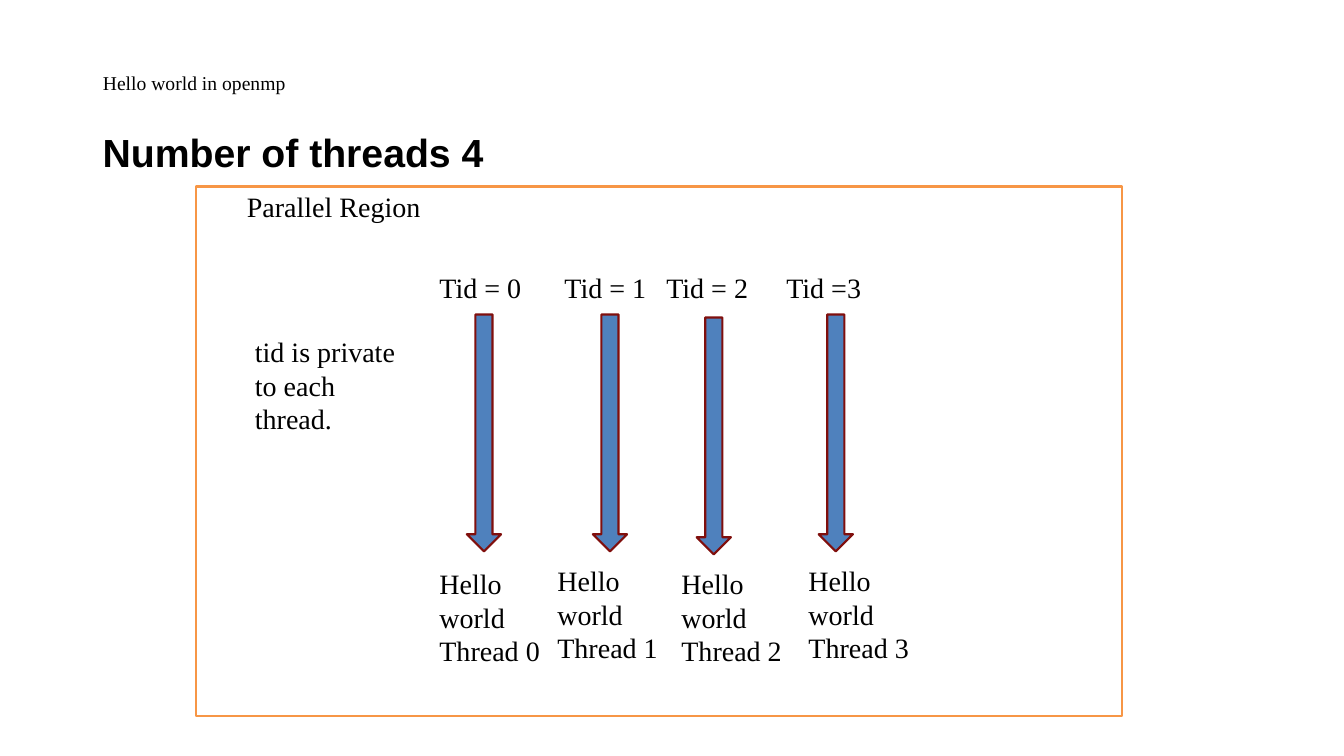
from pptx import Presentation
from pptx.dml.color import RGBColor
from pptx.enum.shapes import MSO_SHAPE
from pptx.enum.text import MSO_ANCHOR, MSO_AUTO_SIZE, PP_ALIGN
from pptx.util import Pt

PX = 9144  # 100 px to the inch
BLACK = RGBColor(0x00, 0x00, 0x00)
WHITE = RGBColor(0xFF, 0xFF, 0xFF)
ORANGE = RGBColor(0xF7, 0x96, 0x46)
BLUE = RGBColor(0x4F, 0x81, 0xBD)
DARK_RED = RGBColor(0x80, 0x0F, 0x0D)
SERIF, SANS = "Times New Roman", "Arial"
RECTANGLE, DOWN_ARROW = MSO_SHAPE.RECTANGLE, MSO_SHAPE.DOWN_ARROW
MIDDLE, LEFT = MSO_ANCHOR.MIDDLE, PP_ALIGN.LEFT
NO_FIT, GROW = MSO_AUTO_SIZE.NONE, MSO_AUTO_SIZE.SHAPE_TO_FIT_TEXT

deck = Presentation()
deck.slide_width, deck.slide_height = 1333 * PX, 750 * PX
page = deck.slides.add_slide(deck.slide_layouts[5])


def add_shape(kind, left, top, width, height, fill, line):
    shape = page.shapes.add_shape(kind, left * PX, top * PX, width * PX, height * PX)
    shape.shadow.inherit = False
    shape.fill.solid()
    shape.fill.fore_color.rgb = fill
    shape.line.color.rgb = line
    shape.line.width = Pt(1.5)


def add_text(text, left, top, width, height, size=20, font=SERIF, fit=GROW):
    box = page.shapes.add_textbox(left * PX, top * PX, width * PX, height * PX)
    frame = box.text_frame
    frame.word_wrap = True
    frame.auto_size = fit
    frame.text = text
    span = frame.paragraphs[0].runs[0]
    span.font.name, span.font.size = font, Pt(size)
    span.font.color.rgb = BLACK
    return frame.paragraphs[0]


title = page.shapes.title
title.left, title.top, title.width, title.height = 92 * PX, 40 * PX, 1150 * PX, 88 * PX
title.text_frame.text = "Hello world in openmp"
title.text_frame.vertical_anchor = MIDDLE
title.text_frame.auto_size = NO_FIT
heading = title.text_frame.paragraphs[0]
heading.alignment = LEFT
heading.line_spacing = 0.9
heading_font = heading.runs[0].font
heading_font.name, heading_font.size = SERIF, Pt(14)
heading_font.color.rgb = BLACK

thread_count = add_text("Number of threads 4", 92, 128, 1150, 564, 28, SANS, NO_FIT)
thread_count.line_spacing = 0.9
thread_count.runs[0].font.bold = True

add_shape(RECTANGLE, 194, 185, 919, 525, WHITE, ORANGE)
add_text("Parallel Region", 235, 183, 234, 44)
add_text("tid is private to each thread.", 243, 327, 162, 111)

# tid text, its left and width; arrow left and top; greeting left, top and width
threads = [
    ("Tid = 0", 426, 109, 463, 312, 426, 557, 140),
    ("Tid = 1", 550, 109, 588, 312, 543, 554, 146),
    ("Tid = 2", 651, 109, 691, 315, 666, 557, 140),
    ("Tid =3", 770, 119, 812, 312, 792, 554, 140),
]
for number, thread in enumerate(threads):
    tid, tid_left, tid_width, arrow_left, arrow_top, hello_left, hello_top, hello_width = thread
    add_shape(DOWN_ARROW, arrow_left, arrow_top, 34, 235, BLUE, DARK_RED)
    add_text(tid, tid_left, 263, tid_width, 44)
    add_text(f"Hello world Thread {number}", hello_left, hello_top, hello_width, 111)

deck.save("out.pptx")
